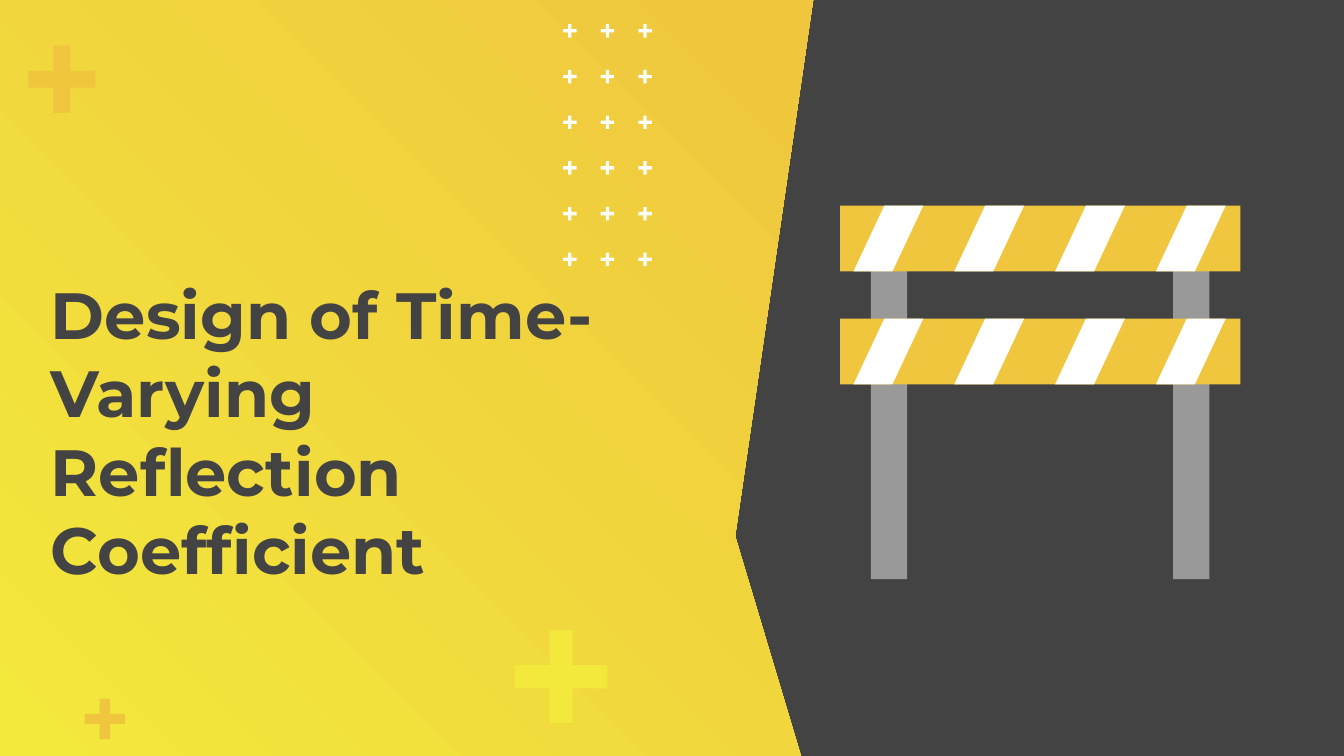
from itertools import product

from pptx import Presentation
from pptx.dml.color import RGBColor
from pptx.enum.shapes import MSO_SHAPE as Preset
from pptx.enum.text import MSO_ANCHOR as Anchor
from pptx.util import Inches, Pt

SLIDE_WIDTH = 10
SLIDE_HEIGHT = SLIDE_WIDTH * 9 / 16
CHARCOAL = "434343"
LEMON = "F3E83C"
AMBER = "EFC63E"
GRAY = "999999"
WHITE = "FFFFFF"


def color(value):
    """Turn a hex string into a colour."""
    return RGBColor.from_string(value)


def paint(part, fill):
    """Give a shape a plain fill without line or shadow."""
    part.shadow.inherit = False
    part.line.fill.background()
    part.fill.solid()
    part.fill.fore_color.rgb = color(fill)


def add_preset(slide, kind, left, top, width, height, fill):
    """Draw a filled preset shape."""
    part = slide.shapes.add_shape(
        kind, Inches(left), Inches(top), Inches(width), Inches(height))
    paint(part, fill)
    return part


def add_plus(slide, left, top, size, fill):
    """Draw a plus sign with slim arms."""
    plus = add_preset(slide, Preset.CROSS, left, top, size, size, fill)
    plus.adjustments[0] = 0.375


def add_outline(slide, points, fill):
    """Draw a closed polygon through points given in inches."""
    corners = [(Inches(x), Inches(y)) for x, y in points]
    builder = slide.shapes.build_freeform(*corners[0])
    builder.add_line_segments(corners[1:], close=True)
    outline = builder.convert_to_shape()
    paint(outline, fill)
    return outline


def add_text(slide, text, left, top, width, height, *, size, font, ink, bold=False):
    """Place wrapped, vertically centred text."""
    box = slide.shapes.add_textbox(
        Inches(left), Inches(top), Inches(width), Inches(height))
    frame = box.text_frame
    frame.word_wrap = True
    frame.vertical_anchor = Anchor.MIDDLE
    frame.margin_left = frame.margin_right = Inches(0.1)
    frame.margin_top = frame.margin_bottom = Inches(0.1)
    run = frame.paragraphs[0].add_run()
    run.text = text
    run.font.size = Pt(size)
    run.font.name = font
    run.font.bold = bold
    run.font.color.rgb = color(ink)


def add_panel(slide):
    """Draw the pointed gradient panel on the left."""
    panel = add_outline(slide, [
        (0, 0), (0, SLIDE_HEIGHT), (5.96, SLIDE_HEIGHT), (5.47, 3.99), (6.05, 0)],
        LEMON)
    panel.fill.gradient()
    panel.fill.gradient_angle = 45
    for stop, shade in zip(panel.fill.gradient_stops, (LEMON, AMBER)):
        stop.color.rgb = color(shade)


def add_board(slide, top):
    """Draw one barrier board with four slanted stripes."""
    height = 0.49
    add_preset(slide, Preset.RECTANGLE, 6.25, top, 2.98, height, AMBER)
    for index in range(4):
        left = 6.35 + 0.75 * index
        add_outline(slide, [
            (left + 0.23, top), (left, top + height),
            (left + 0.29, top + height), (left + 0.52, top)], WHITE)


def add_barrier(slide):
    """Draw the road barrier from posts and boards."""
    for left in (6.48, 8.73):
        add_preset(slide, Preset.RECTANGLE, left, 1.74, 0.27, 2.57, GRAY)
    for top in (1.53, 2.37):
        add_board(slide, top)


def add_plus_grid(slide):
    """Draw three columns of six small plus signs."""
    for column, row in product(range(3), range(6)):
        add_plus(slide, 4.19 + 0.28 * column, 0.18 + 0.34 * row, 0.1, WHITE)


def main():
    """Build and save the slide."""
    deck = Presentation()
    deck.slide_width = Inches(SLIDE_WIDTH)
    deck.slide_height = Inches(SLIDE_HEIGHT)
    slide = deck.slides.add_slide(deck.slide_layouts[6])
    slide.background.fill.solid()
    slide.background.fill.fore_color.rgb = color(CHARCOAL)

    add_panel(slide)
    for left, top, size, fill in (
            (3.83, 4.69, 0.69, LEMON),
            (0.21, 0.34, 0.5, AMBER),
            (0.63, 5.2, 0.3, AMBER)):
        add_plus(slide, left, top, size, fill)
    add_text(slide, "Design of Time-Varying Reflection Coefficient",
             0.28, 1.58, 4.79, 3.25,
             size=35, font="Montserrat", ink=CHARCOAL, bold=True)
    add_barrier(slide)
    add_plus_grid(slide)
    deck.save("out.pptx")


main()
